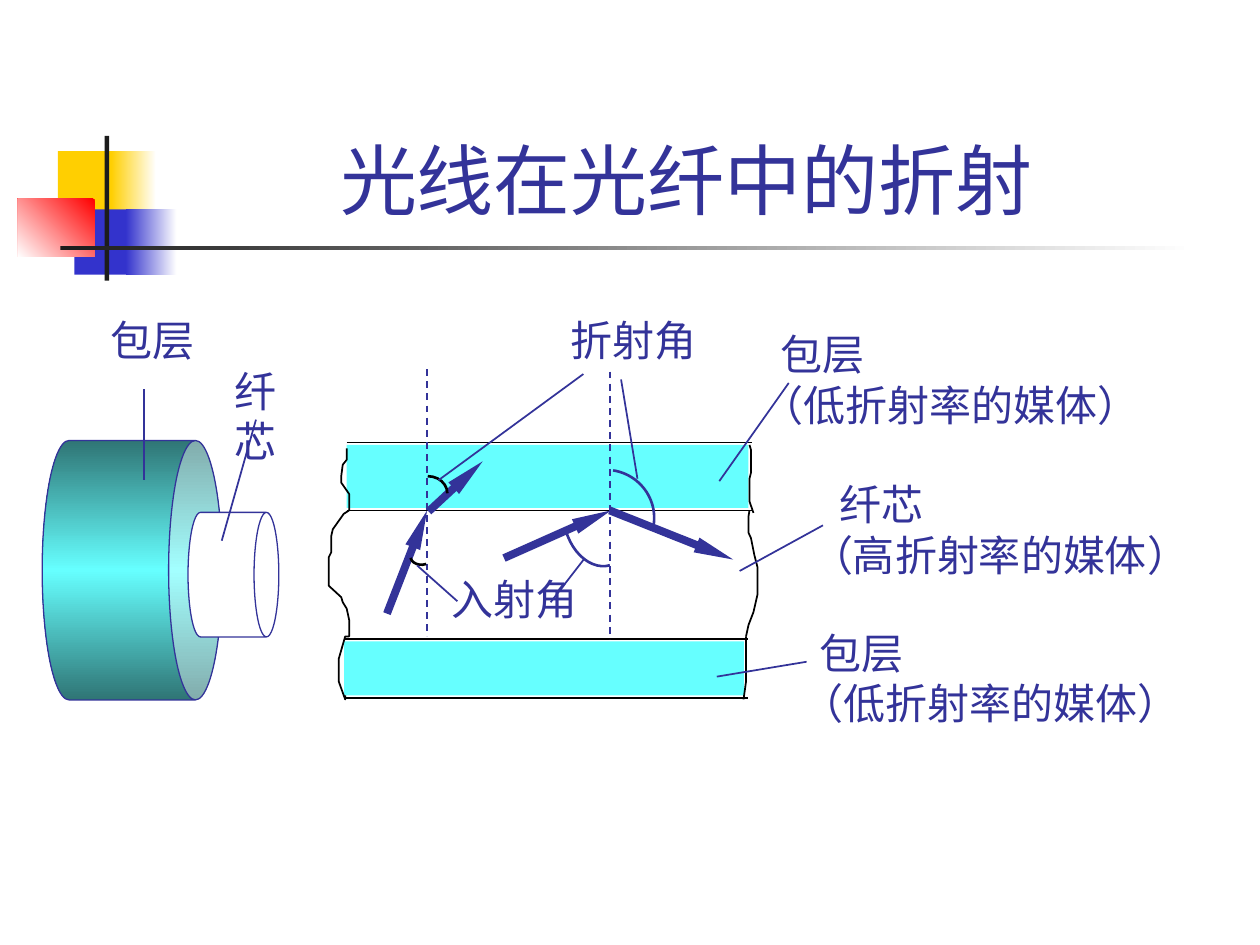
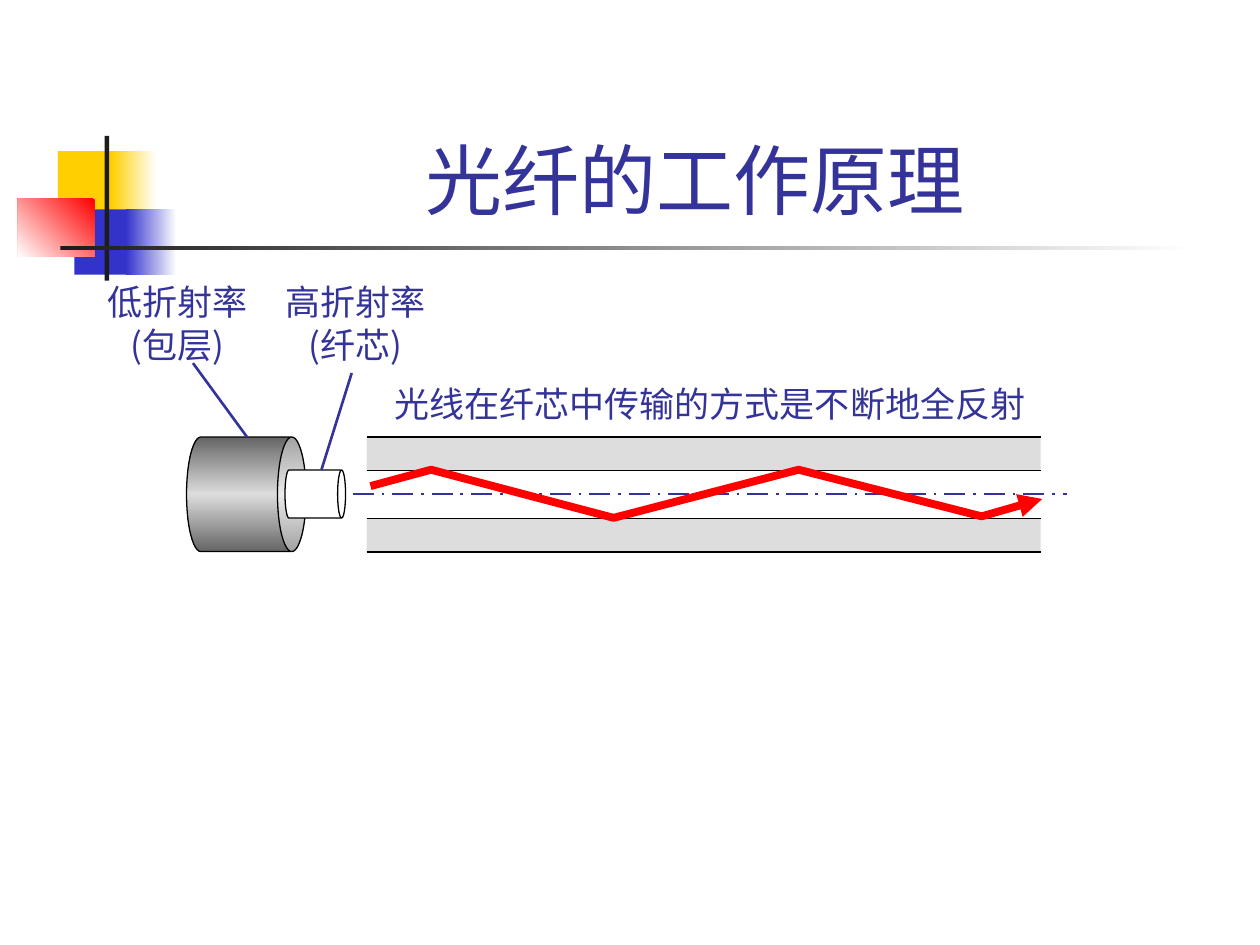
from copy import deepcopy
from dataclasses import dataclass
from itertools import pairwise

from lxml.etree import SubElement as Sub
from pptx import Presentation
from pptx.dml.color import RGBColor as Rgb
from pptx.enum.dml import MSO_LINE as Dash
from pptx.enum.shapes import MSO_CONNECTOR as Link, MSO_SHAPE as Kind
from pptx.enum.text import MSO_ANCHOR as Anchor, MSO_AUTO_SIZE as Auto, PP_ALIGN as Align
from pptx.oxml.ns import qn
from pptx.util import Cm, Pt


@dataclass(frozen=True)
class Theme:
    """Colours, fonts and sizes of the deck."""
    ink: str = "333399"
    black: str = "000000"
    white: str = "FFFFFF"
    gold: str = "FFCF01"
    blue: str = "3333CC"
    red: str = "FF0000"
    coal: str = "1C1C1C"
    aqua: str = "66FFFF"
    teal: str = "2F7575"
    grey: str = "DDDDDD"
    dark: str = "656565"
    face: str = "Arial"
    asian: str = "Noto Sans CJK SC"
    head: int = 44
    label: int = 24
    small: int = 20


T = Theme()


def paint(shape, fills, angle=0):
    """Fill a shape with nothing, one colour or an even gradient."""
    shape.shadow.inherit = False
    fill = shape.fill
    if not fills:
        fill.background()
    elif len(fills) == 1:
        fill.solid()
        fill.fore_color.rgb = Rgb.from_string(fills[0])
    else:
        fill.gradient()
        fill.gradient_angle = angle
        stops = shape._element.spPr.find(".//" + qn("a:gsLst"))
        while len(stops) < len(fills):
            stops.append(deepcopy(stops[0]))
        for i, (stop, tint) in enumerate(zip(fill.gradient_stops, fills)):
            stop.position = i / (len(fills) - 1)
            stop.color.rgb = Rgb.from_string(tint)


def stroke(line, color, width):
    """Set the colour and width of a line."""
    line.color.rgb = Rgb.from_string(color)
    line.width = Pt(width)


def point(shape, width="med", length="med"):
    """Put an arrowhead at the end of a line."""
    Sub(shape.line._get_or_add_ln(), qn("a:tailEnd"), type="triangle", w=width, len=length)


def block(slide, box, *fills, kind=Kind.RECTANGLE, angle=0, edge=None, width=0.75, turn=0):
    """Add a preset shape."""
    shape = slide.shapes.add_shape(kind, *map(Cm, box))
    paint(shape, fills, angle)
    shape.rotation = turn
    if edge:
        stroke(shape.line, edge, width)
    else:
        shape.line.fill.background()
    return shape


def can(slide, box, lip, edge, *fills):
    """Add a cylinder that lies on its side."""
    shape = block(slide, box, *fills, kind=Kind.CAN, edge=edge, turn=90)
    shape.adjustments[0] = lip


def arc(slide, box, turn=0, color=T.ink):
    """Add a quarter arc that marks an angle."""
    block(slide, box, kind=Kind.ARC, edge=color, width=1.5, turn=turn)


def rule(slide, ends, color=T.ink, width=1.0, dash=None):
    """Add a straight line from one point to another."""
    line = slide.shapes.add_connector(Link.STRAIGHT, *map(Cm, ends))
    Sub(line._element.spPr, qn("a:effectLst"))
    stroke(line.line, color, width)
    if dash:
        line.line.dash_style = dash
    return line


def trace(slide, spots, color=T.black, width=1.0):
    """Add an open outline through the given points."""
    first, *rest = [(Cm(x), Cm(y)) for x, y in spots]
    form = slide.shapes.build_freeform(*first)
    form.add_line_segments(rest, close=False)
    shape = form.convert_to_shape()
    paint(shape, ())
    stroke(shape.line, color, width)
    return shape


def style(para, size, face, align):
    """Format a paragraph."""
    para.alignment = align
    font = para.font
    font.size = Pt(size)
    font.name = face
    font.color.rgb = Rgb.from_string(T.ink)
    Sub(font._element, qn("a:ea"), typeface=T.asian)


def label(slide, box, *lines, size=T.label, face=T.face, align=Align.LEFT, wrap=False, indent=0):
    """Add a text box whose first line may be indented."""
    frame = slide.shapes.add_textbox(*map(Cm, box)).text_frame
    frame.word_wrap = wrap
    frame.text = "\n".join(lines)
    for para in frame.paragraphs:
        style(para, size, face, align)
    if indent:
        frame.paragraphs[0]._p.get_or_add_pPr().set("marL", str(Cm(indent)))


def page(deck, text):
    """Add a slide with its title."""
    slide = deck.slides.add_slide(deck.slide_layouts[5])
    title = slide.shapes.title
    title.left, title.top, title.width, title.height = map(Cm, (3.2, 0.6, 21.64, 4.06))
    frame = title.text_frame
    frame.text = text
    frame.auto_size = Auto.NONE
    frame.vertical_anchor = Anchor.BOTTOM
    style(frame.paragraphs[0], T.head, T.face, Align.CENTER)
    return slide


def badge(slide):
    """Draw the shared ornament and hand it to the slide layout."""
    parts = [
        block(slide, (1.17, 3.05, 1.22, 1.32), T.gold),
        block(slide, (2.24, 3.05, 0.91, 1.32), T.gold, T.white),
        block(slide, (1.5, 4.22, 1.17, 1.32), T.blue),
        block(slide, (2.54, 4.22, 1.02, 1.32), T.blue, T.white),
        block(slide, (0.36, 4.01, 1.55, 1.17), T.red, T.white, angle=225),
        block(slide, (2.11, 2.74, 0.09, 2.92), T.coal),
        block(slide, (1.22, 4.95, 22.86, 0.09), T.coal, T.white),
    ]
    tree = slide.slide_layout.shapes._spTree
    for i, part in enumerate(parts):
        tree.insert(2 + i, part._element)


def layer(slide, left, top, width, height):
    """Draw one cladding layer between two lines."""
    for y in (top, top + height):
        rule(slide, (left, y, left + width, y), T.black)
    block(slide, (left, top + 0.05, width - 0.07, height - 0.1), T.aqua)


def edges(slide):
    """Draw the torn ends of the cut fibre."""
    left = [(6.99, 9.04), (6.99, 9.27), (6.91, 9.37), (6.88, 9.6), (6.88, 9.73),
            (7.04, 9.96), (7.04, 10.29), (6.93, 10.36), (6.71, 10.67), (6.68, 10.8),
            (6.68, 11.13), (6.63, 11.23), (6.63, 11.81), (6.88, 12.04), (6.91, 12.14),
            (6.99, 12.27), (7.04, 12.5), (7.04, 12.83), (6.96, 12.83), (6.83, 13.28),
            (6.83, 13.74), (6.96, 14.1), (6.96, 14.02)]
    upper = [(15.11, 8.97), (15.14, 9.07), (15.14, 9.53), (15.11, 9.65), (15.11, 10.11),
             (15.19, 10.34)]
    core = [(15.11, 10.29), (15.09, 10.41), (15.09, 10.74), (15.14, 10.85), (15.21, 11.2),
            (15.27, 11.43), (15.27, 11.99), (15.19, 12.34), (15.09, 12.6), (15.04, 12.83)]
    lower = [(15.04, 12.83), (15.04, 13.74), (14.99, 14.1)]
    for side in (left, upper, core, lower):
        trace(slide, side)


def bend(slide):
    """Draw the refraction of light in the fibre."""
    layer(slide, 6.99, 8.92, 8.17, 1.37)
    layer(slide, 6.94, 12.88, 8.13, 1.19)
    for x, y in ((8.61, 7.44), (12.29, 7.49)):
        rule(slide, (x, y, x, y + 5.39), dash=Dash.DASH)
    for ray in ((8.64, 10.31, 9.73, 9.3), (7.8, 12.37, 8.61, 10.29),
                (10.16, 11.25, 12.32, 10.29), (12.29, 10.29, 14.78, 11.28)):
        point(rule(slide, ray, width=4.5), "sm", "lg")
    arc(slide, (8.23, 9.6, 0.79, 0.69), color=T.black)
    arc(slide, (8.26, 10.95, 0.53, 0.43), 162, T.black)
    arc(slide, (11.38, 9.6, 1.32, 1.83), 164)
    arc(slide, (11.23, 9.47, 1.96, 1.93), 9)
    edges(slide)
    can(slide, (0.05, 9.68, 5.23, 3.63), 0.298, T.ink, T.teal, T.aqua, T.teal)
    can(slide, (3.45, 10.67, 2.51, 1.83), 0.273, T.ink, T.white)
    for ends in ((12.52, 7.65, 12.85, 9.65), (8.84, 9.68, 11.76, 7.54),
                 (8.41, 11.4, 9.22, 12.12), (11.1, 12.14, 11.79, 11.25),
                 (14.91, 11.51, 16.59, 10.59), (15.9, 7.72, 14.5, 9.7),
                 (16.26, 13.34, 14.45, 13.64), (2.9, 7.85, 2.9, 9.68),
                 (5.16, 8.46, 4.47, 10.9)):
        rule(slide, ends)
    label(slide, (11.25, 6.22, 3.1, 1.27), "折射角")
    label(slide, (8.86, 11.43, 3.1, 1.27), "入射角")
    label(slide, (1.98, 6.22, 2.3, 1.27), "包层")
    label(slide, (4.47, 7.24, 1.93, 2.29), "纤芯", wrap=True)
    for x, y, name, note, indent in ((15.11, 6.5, "包层", "（低折射率的媒体）", 0.38),
                                     (16.1, 9.53, "纤芯", "（高折射率的媒体）", 0.57),
                                     (15.9, 12.52, "包层", "（低折射率的媒体）", 0.38)):
        label(slide, (x, y, 8.2, 2.29), name, note, indent=indent)


def guide(slide):
    """Draw total reflection along the fibre core."""
    left, width = 7.39, 13.59
    levels = (8.81, 9.49, 10.45, 11.13)
    for (top, base), tint in zip(pairwise(levels), (T.grey, T.white, T.grey)):
        block(slide, (left, top, width, base - top), tint)
    can(slide, (3.81, 8.76, 2.31, 2.41), 0.25, T.black, T.dark, T.grey, T.dark)
    can(slide, (5.87, 9.35, 0.97, 1.22), 0.164, T.black, T.white)
    for y in levels:
        rule(slide, (left, y, left + width, y), T.black, 0.75)
    rule(slide, (7.11, 9.96, 21.51, 9.96), width=1.5, dash=Dash.LONG_DASH_DOT)
    for x, name, note in ((1.91, "低折射率", "(包层)"), (5.51, "高折射率", "(纤芯)")):
        label(slide, (x, 5.54, 3.33, 1.96), name, note,
              size=T.small, face=T.asian, align=Align.CENTER)
    for ends in ((7.09, 7.52, 6.48, 9.47), (3.89, 7.32, 4.98, 8.81)):
        rule(slide, ends, width=1.5)
    label(slide, (7.7, 7.59, 13.23, 1.12), "光线在纤芯中传输的方式是不断地全反射",
          size=T.small, face=T.asian)
    ray = [(7.47, 9.8), (8.69, 9.47), (12.37, 10.44), (16.1, 9.47), (19.79, 10.41),
           (21.01, 10.06)]
    point(trace(slide, ray, T.red, 4.5))


def main():
    """Build and save the deck."""
    deck = Presentation()
    deck.slide_width, deck.slide_height = Cm(25.4), Cm(19.05)
    first = page(deck, "光线在光纤中的折射 ")
    badge(first)
    bend(first)
    guide(page(deck, "光纤的工作原理"))
    deck.save("out.pptx")


if __name__ == "__main__":
    main()
